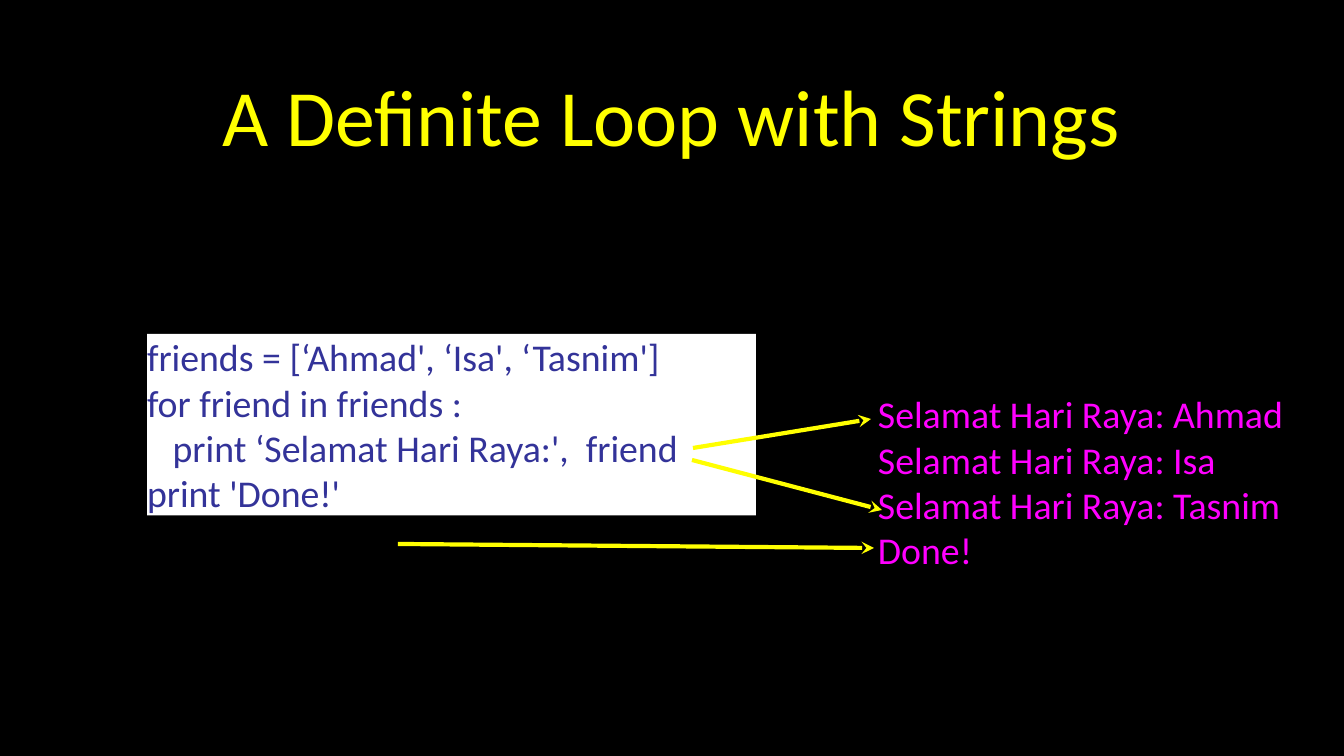
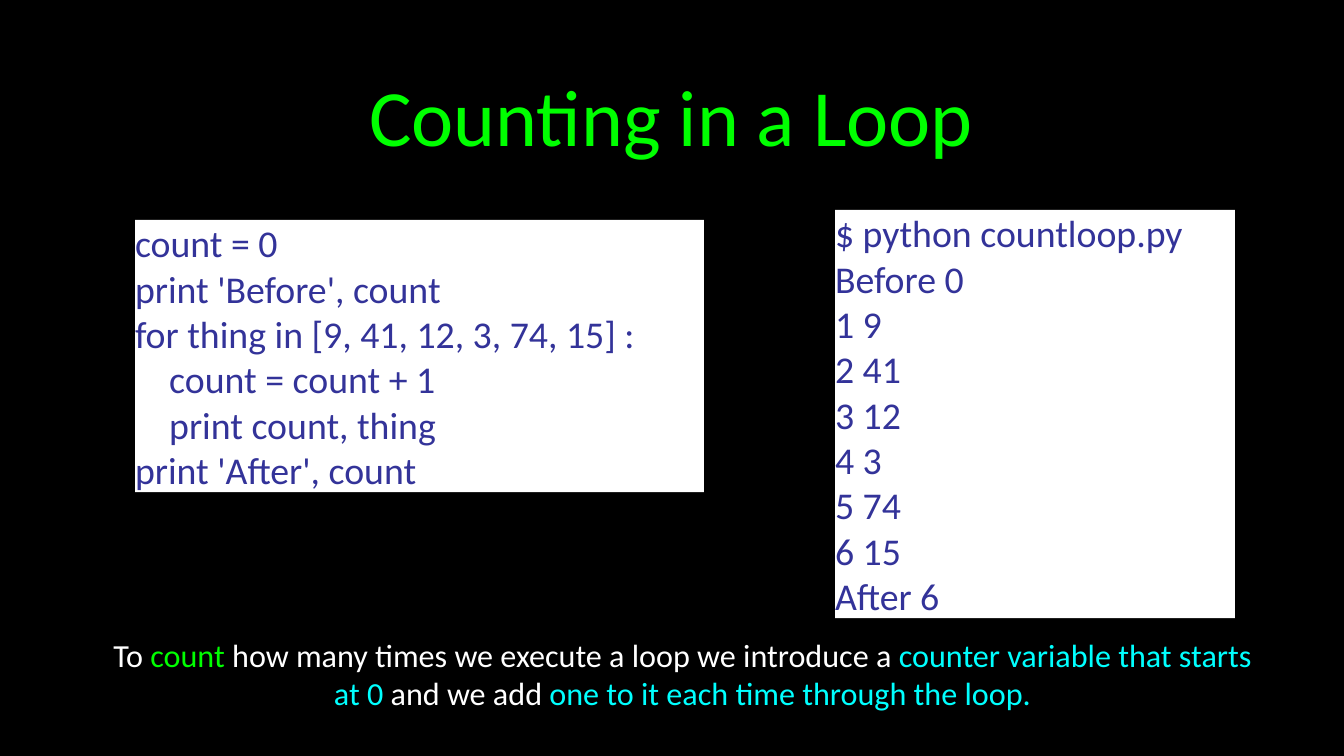
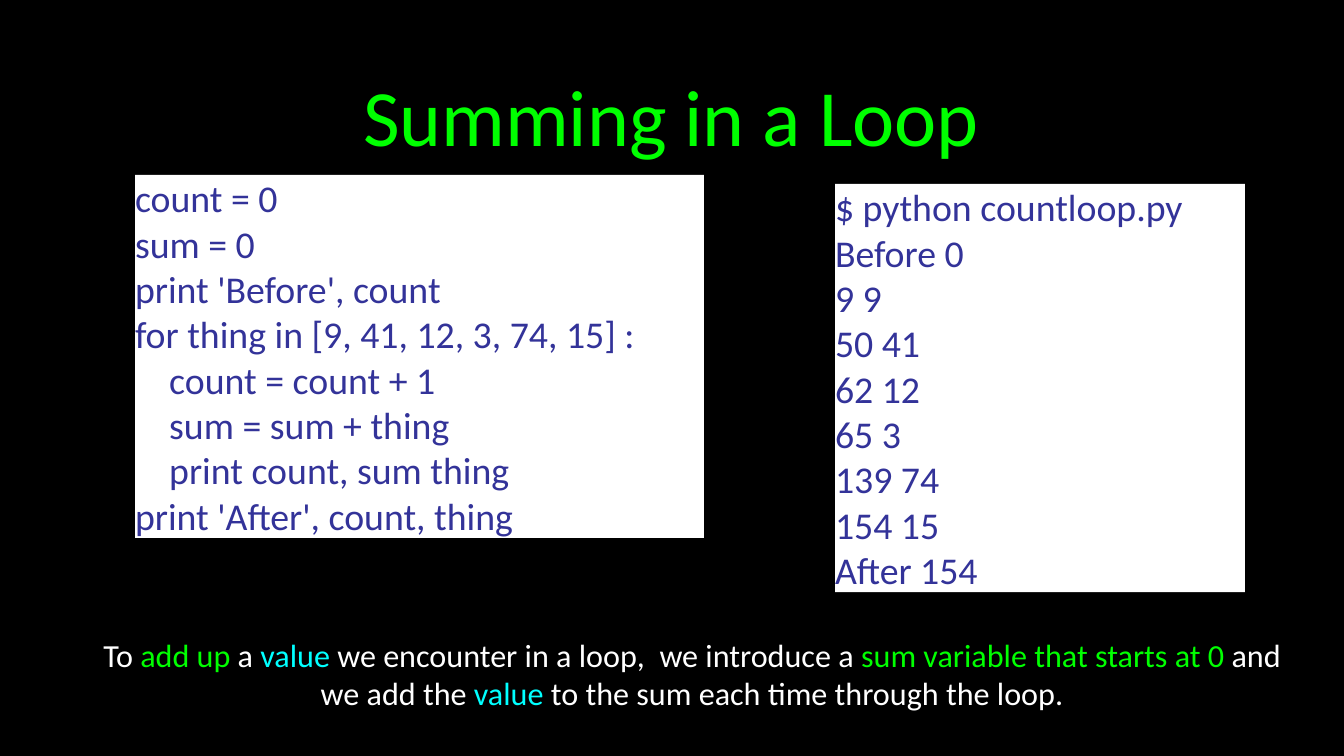
from pptx import Presentation
from pptx.dml.color import RGBColor
from pptx.enum.shapes import MSO_CONNECTOR as CONNECTOR, MSO_SHAPE as SHAPE
from pptx.enum.text import MSO_ANCHOR as ANCHOR, MSO_AUTO_SIZE as AUTO_SIZE, PP_ALIGN as ALIGN
from pptx.oxml.ns import qn
from pptx.util import Emu, Pt
from lxml.etree import SubElement

SCALE = 12095  # EMU in one px
FONT = "Calibri"
BLACK, WHITE, YELLOW, GREEN = "000000", "FFFFFF", "FFFF00", "00FF00"
CYAN, MAGENTA, INDIGO = "00FFFF", "FF00FF", "333399"
TITLE_SIZE, CODE_SIZE, CAPTION_SIZE = 76, 36, 30.6
LINE_RATIO = 1.2
CODE_LINE = 45.36  # px height of one code line

TITLE_BOX = (95, 20, 1152, 190)
CAPTION_TOP, CAPTION_HEIGHT = 626, 95

GREETING_CODE = [
    "friends = [‘Ahmad', ‘Isa', ‘Tasnim']",
    "for friend in friends :",
    "   print ‘Selamat Hari Raya:',  friend",
    "print 'Done!'",
]
GREETING_OUTPUT = [
    "Selamat Hari Raya: Ahmad",
    "Selamat Hari Raya: Isa",
    "Selamat Hari Raya: Tasnim",
    "Done!",
]
GREETING_ARROWS = [
    ((871, 419), (693, 448)),
    ((882, 510), (692, 460)),
    ((874, 548), (398, 544)),
]
COUNT_CODE = [
    "count = 0",
    "print 'Before', count",
    "for thing in [9, 41, 12, 3, 74, 15] :",
    "    count = count + 1",
    "    print count, thing",
    "print 'After', count",
]
COUNT_OUTPUT = ["$ python countloop.py", "Before 0", "1 9", "2 41", "3 12",
                "4 3", "5 74", "6 15", "After 6"]
COUNT_CAPTION = [
    ("To ", WHITE),
    ("count", GREEN),
    (" how many times we execute a loop we introduce a ", WHITE),
    ("counter variable that starts at 0", CYAN),
    (" and we add ", WHITE),
    ("one to it each time through the loop.", CYAN),
]
SUM_CODE = [
    "count = 0",
    "sum = 0",
    "print 'Before', count",
    "for thing in [9, 41, 12, 3, 74, 15] :",
    "    count = count + 1",
    "    sum = sum + thing",
    "    print count, sum thing",
    "print 'After', count, thing",
]
SUM_OUTPUT = ["$ python countloop.py", "Before 0", "9 9", "50 41", "62 12",
              "65 3", "139 74", "154 15", "After 154"]
SUM_CAPTION = [
    ("To ", WHITE),
    ("add up ", GREEN),
    ("a ", WHITE),
    ("value", CYAN),
    (" we encounter in a loop,  we introduce a ", WHITE),
    ("sum variable that starts at 0", GREEN),
    (" and we add the ", WHITE),
    ("value", CYAN),
    (" to the sum each time through the loop.", WHITE),
]


def px(length):
    return Emu(round(length * SCALE))


def rgb(color):
    return RGBColor.from_string(color)


def set_all(target, formats):
    for name, value in formats.items():
        setattr(target, name, value)


def set_frame(frame, margin=0):
    set_all(frame, {
        "word_wrap": True,
        "auto_size": AUTO_SIZE.NONE,
        "vertical_anchor": ANCHOR.MIDDLE,
        "margin_left": px(margin),
        "margin_top": px(margin),
        "margin_right": px(margin),
        "margin_bottom": px(margin),
    })


def add_run(paragraph, words, size, color):
    run = paragraph.add_run()
    run.text = words
    set_all(run.font, {"name": FONT, "size": Pt(size)})
    run.font.color.rgb = rgb(color)


def add_titled_slide(deck, heading, color):
    slide = deck.slides.add_slide(deck.slide_layouts.get_by_name("Title Only"))
    title = slide.shapes.title
    set_all(title, dict(zip(("left", "top", "width", "height"), map(px, TITLE_BOX))))
    set_frame(title.text_frame, margin=3)
    paragraph = title.text_frame.paragraphs[0]
    paragraph.alignment = ALIGN.CENTER
    add_run(paragraph, heading, TITLE_SIZE, color)
    return slide


def write_lines(frame, lines, color):
    set_frame(frame)
    for number, line in enumerate(lines):
        paragraph = frame.add_paragraph() if number else frame.paragraphs[0]
        set_all(paragraph, {"alignment": ALIGN.LEFT,
                            "line_spacing": Pt(CODE_SIZE * LINE_RATIO)})
        add_run(paragraph, line, CODE_SIZE, color)


def add_code_panel(slide, lines, left, top, width):
    """White panel exactly as tall as its lines."""
    panel = slide.shapes.add_shape(
        SHAPE.RECTANGLE, px(left), px(top), px(width), px(len(lines) * CODE_LINE))
    panel.shadow.inherit = False
    panel.fill.solid()
    panel.fill.fore_color.rgb = rgb(WHITE)
    panel.line.fill.background()
    write_lines(panel.text_frame, lines, INDIGO)


def add_plain_output(slide, lines, left, top, width):
    output = slide.shapes.add_textbox(
        px(left), px(top), px(width), px(len(lines) * CODE_LINE))
    write_lines(output.text_frame, lines, MAGENTA)


def add_caption(slide, phrases, left, width):
    caption = slide.shapes.add_textbox(
        px(left), px(CAPTION_TOP), px(width), px(CAPTION_HEIGHT))
    set_frame(caption.text_frame)
    paragraph = caption.text_frame.paragraphs[0]
    set_all(paragraph, {"alignment": ALIGN.CENTER,
                        "line_spacing": Pt(CAPTION_SIZE * LINE_RATIO)})
    for words, color in phrases:
        add_run(paragraph, words, CAPTION_SIZE, color)


def add_arrow(slide, tip, tail):
    arrow = slide.shapes.add_connector(CONNECTOR.STRAIGHT, *map(px, tip + tail))
    arrow.line.color.rgb = rgb(YELLOW)
    arrow.line.width = Pt(4)
    properties = arrow.element.spPr
    SubElement(properties.find(qn("a:ln")), qn("a:headEnd"), type="stealth")
    SubElement(properties, qn("a:effectLst"))


def main():
    deck = Presentation()
    set_all(deck, {"slide_width": px(1344), "slide_height": px(756)})
    backdrop = deck.slide_master.background.fill
    backdrop.solid()
    backdrop.fore_color.rgb = rgb(BLACK)

    greeting = add_titled_slide(deck, "A Definite Loop with Strings", YELLOW)
    add_code_panel(greeting, GREETING_CODE, 147, 334, 609)
    add_plain_output(greeting, GREETING_OUTPUT, 878, 391, 466)
    for tip, tail in GREETING_ARROWS:
        add_arrow(greeting, tip, tail)

    counting = add_titled_slide(deck, "Counting in a Loop", GREEN)
    add_code_panel(counting, COUNT_CODE, 135, 220, 569)
    add_code_panel(counting, COUNT_OUTPUT, 835, 210, 400)
    add_caption(counting, COUNT_CAPTION, 101, 1163)

    summing = add_titled_slide(deck, "Summing in a Loop", GREEN)
    add_code_panel(summing, SUM_CODE, 135, 175, 569)
    add_code_panel(summing, SUM_OUTPUT, 835, 184, 410)
    add_caption(summing, SUM_CAPTION, 87, 1210)

    deck.save("out.pptx")


if __name__ == "__main__":
    main()
